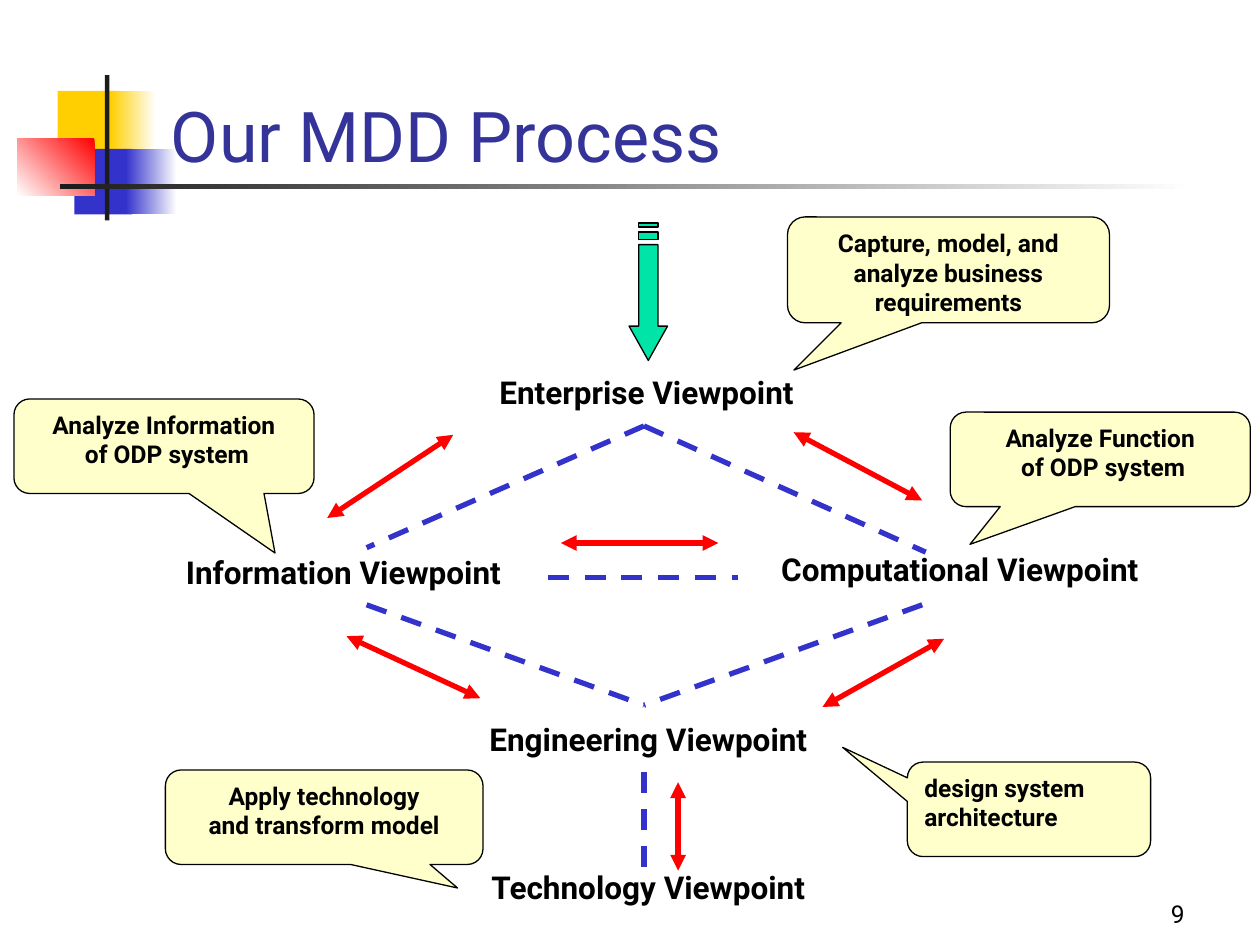
import pptx
import pptx.util
import pptx.dml.color
import pptx.enum.dml
import pptx.enum.shapes
import pptx.enum.text
import pptx.oxml.ns
import lxml.etree

Pt = pptx.util.Pt
Shape = pptx.enum.shapes.MSO_SHAPE
Align = pptx.enum.text.PP_ALIGN
Anchor = pptx.enum.text.MSO_ANCHOR
FONT = "Roboto"
COLORS = {
    "black": "000000", "ink": "1C1C1C", "white": "FFFFFF", "gold": "FFCF01",
    "blue": "3333CC", "red": "FF0000", "navy": "333399", "cream": "FFFFCC",
    "mint": "00E4A8",
}


def color(name):
    return pptx.dml.color.RGBColor.from_string(COLORS[name])


def paint(shape, fill, line=None):
    shape.shadow.inherit = False
    shape.fill.solid()
    shape.fill.fore_color.rgb = color(fill)
    if line:
        shape.line.color.rgb = color(line)
        shape.line.width = Pt(0.75)
    else:
        shape.line.fill.background()


def write(shape, lines, size, hue="black", bold=False, align=Align.CENTER,
          anchor=Anchor.TOP, wrap=True):
    frame = shape.text_frame
    frame.word_wrap = wrap
    frame.auto_size = pptx.enum.text.MSO_AUTO_SIZE.NONE
    frame.vertical_anchor = anchor
    for i, text in enumerate(lines):
        para = frame.paragraphs[0] if i == 0 else frame.add_paragraph()
        para.alignment = align
        run = para.add_run()
        run.text = text
        run.font.name = FONT
        run.font.size = Pt(size)
        run.font.bold = bold
        run.font.color.rgb = color(hue)


def place(shape, x, y, w, h):
    shape.left, shape.top, shape.width, shape.height = Pt(x), Pt(y), Pt(w), Pt(h)


def draw_line(slide, ends, hue, dash=False, heads=False):
    line = slide.shapes.add_connector(
        pptx.enum.shapes.MSO_CONNECTOR.STRAIGHT, *[Pt(v) for v in ends])
    line.line.color.rgb = color(hue)
    line.line.width = Pt(3)
    if dash:
        line.line.dash_style = pptx.enum.dml.MSO_LINE.DASH
    qn = pptx.oxml.ns.qn
    props = line._element.spPr
    if heads:
        for tag in ("a:headEnd", "a:tailEnd"):
            lxml.etree.SubElement(props.find(qn("a:ln")), qn(tag), type="triangle")
    lxml.etree.SubElement(props, qn("a:effectLst"))


def add_motif(slide, x, y):
    parts = [
        (23, 9, 35, 37, "gold", None, 0),
        (53, 9, 26, 37, "white", "gold", 180),
        (32.5, 42, 33, 37.5, "blue", None, 0),
        (62, 42, 29, 37.5, "white", "blue", 180),
        (0, 36, 44, 33, "red", "white", 225),
        (50, 0, 2.5, 83, "ink", None, 0),
        (24.5, 62, 648, 3, "white", "ink", 180),
    ]
    for dx, dy, w, h, start, end, angle in parts:
        part = slide.shapes.add_shape(Shape.RECTANGLE, Pt(x + dx), Pt(y + dy), Pt(w), Pt(h))
        paint(part, start)
        if end:
            part.fill.gradient()
            part.fill.gradient_angle = angle
            for stop, hue in zip(part.fill.gradient_stops, (start, end)):
                stop.color.rgb = color(hue)


def add_title(slide, x, y, w, h):
    title = slide.shapes.title
    place(title, x, y, w, h)
    write(title, ["Our MDD Process"], 40, "navy", align=Align.LEFT, anchor=Anchor.BOTTOM)
    slide.shapes._spTree.append(title._element)


def add_views(slide, x, y):
    labels = [
        ("Enterprise Viewpoint", 268, 89.5, 203),
        ("Information Viewpoint", 86.5, 192.5, 219.5),
        ("Computational Viewpoint", 426, 191, 245),
        ("Engineering Viewpoint", 261, 288, 219),
        ("Technology Viewpoint", 264, 372.5, 213),
    ]
    for text, dx, dy, w in labels:
        box = slide.shapes.add_textbox(Pt(x + dx), Pt(y + dy), Pt(w), Pt(29))
        write(box, [text], 18, bold=True, wrap=False)

    mid, top, low = 368, 123.4, 283
    links = [
        (313, 210, 422, 210),
        (mid, top, 209.5, 193),
        (mid, top, 529, 195.5),
        (209.5, 225.6, mid, low),
        (527, 225.6, mid, low),
        (mid, 321.4, mid, 379),
    ]
    flows = [
        (259, 128.5, 187, 176),
        (453.5, 127, 527, 166),
        (539.5, 245, 470, 284),
        (198, 243.5, 274.5, 279),
        (387.5, 327, 387.5, 377.5),
        (320.5, 190.3, 410.5, 190.3),
    ]
    for group, hue, dash in ((links, "blue", True), (flows, "red", False)):
        for x1, y1, x2, y2 in group:
            draw_line(slide, (x + x1, y + y1, x + x2, y + y2), hue, dash, not dash)


def add_entry(slide, x, y, w, h):
    left, right, neck = x + w / 4, x + w * 3 / 4, y + h * 0.75
    stem = y + 12.3
    outlines = [
        [(right, stem), (right, neck), (x + w, neck), (x + w / 2, y + h),
         (x, neck), (left, neck), (left, stem)]
    ]
    for top, low in ((0, 2.2), (5.1, 9.4)):
        outlines.append([(right, y + top), (right, y + low), (left, y + low), (left, y + top)])
    build = None
    for outline in outlines:
        dots = [(Pt(px), Pt(py)) for px, py in outline]
        if build is None:
            build = slide.shapes.build_freeform(*dots[0])
        else:
            build.move_to(*dots[0])
        build.add_line_segments(dots[1:], close=True)
    paint(build.convert_to_shape(), "mint", "black")


def add_notes(slide, x, y):
    mid = Align.CENTER
    notes = [
        (442, 0, 184, 60.5, -0.48, 0.947, mid,
         ["Capture, model, and analyze business requirements"]),
        (0, 104, 171.5, 54, 0.37, 1.13, mid, ["Analyze Information", " of ODP system"]),
        (535, 111.5, 171.5, 54, -0.434, 0.899, mid, ["Analyze Function", " of ODP system"]),
        (510.5, 311.5, 139, 54, -0.766, -0.656, Align.LEFT, ["design system architecture"]),
        (86.5, 316, 181.5, 54, 0.42, 0.749, mid, ["Apply technology", "and transform model"]),
    ]
    for dx, dy, w, h, tip_x, tip_y, align, lines in notes:
        note = slide.shapes.add_shape(
            Shape.ROUNDED_RECTANGULAR_CALLOUT, Pt(x + dx), Pt(y + dy), Pt(w), Pt(h))
        note.adjustments[0] = tip_x
        note.adjustments[1] = tip_y
        paint(note, "cream", "black")
        write(note, lines, 14, bold=True, align=align)


def add_number(slide, x, y, w, h):
    box = slide.shapes.add_textbox(Pt(x), Pt(y), Pt(w), Pt(h))
    write(box, ["9"], 14, align=Align.RIGHT, anchor=Anchor.BOTTOM)


def main():
    deck = pptx.Presentation()
    deck.slide_width, deck.slide_height = Pt(720), Pt(540)
    slide = deck.slides.add_slide(deck.slide_layouts[5])
    add_motif(slide, 10, 43)
    add_title(slide, 90.5, 37.5, 613.5, 67)
    add_views(slide, 0, 120)
    add_notes(slide, 8, 124)
    add_entry(slide, 359.5, 127.5, 22, 78.5)
    add_number(slide, 534, 498, 150, 36)
    deck.save("out.pptx")


if __name__ == "__main__":
    main()
